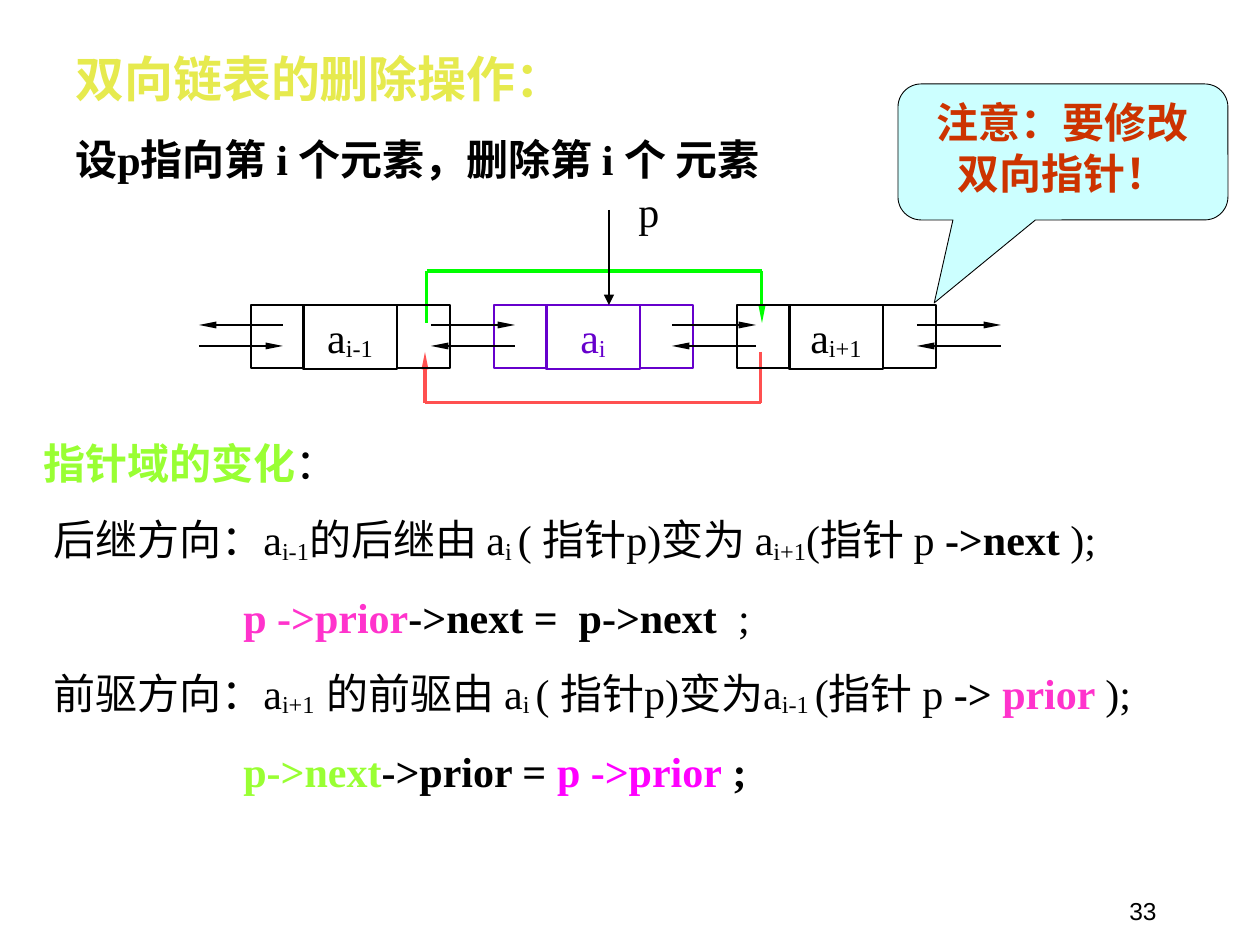
from dataclasses import dataclass
from typing import NamedTuple, Optional

from lxml import etree
from pptx import Presentation
from pptx import util as u
from pptx.dml.color import RGBColor
from pptx.enum import shapes, text
from pptx.oxml.ns import qn

PX = 914400 / 126


@dataclass(frozen=True)
class Theme:
    ink: str = "000000"
    violet: str = "6600CC"
    red: str = "FF5050"
    green: str = "00FF00"
    lime: str = "99FF33"
    pink: str = "FF33CC"
    magenta: str = "FF00FF"
    title: str = "E6EA4E"
    warning: str = "CC3300"
    bubble: str = "CCFFFF"
    serif: str = "Times New Roman"
    sans: str = "Arial"
    title_size: int = 28
    body_size: int = 24
    number_size: int = 14
    thin: float = 0.75
    thick: float = 1.75
    gap: int = 15


THEME = Theme()


class Span(NamedTuple):
    words: str
    color: str = THEME.ink
    bold: bool = False
    sub: bool = False
    size: int = THEME.body_size
    font: str = THEME.serif


class Para(NamedTuple):
    spans: list[Span]
    indent: int = 0
    align: text.PP_ALIGN = text.PP_ALIGN.LEFT


class Point(NamedTuple):
    x: int
    y: int


class Area(NamedTuple):
    left: int
    top: int
    width: int
    height: int


class Node(NamedTuple):
    index: str
    left: int
    color: str


class Arrow(NamedTuple):
    width: str = "sm"
    length: str = "lg"


def emu(px: int) -> u.Emu:
    return u.Emu(round(px * PX))


def rgb(color: str) -> RGBColor:
    return RGBColor.from_string(color)


def write(box, paras: list[Para], anchor=text.MSO_ANCHOR.TOP) -> None:
    frame = box.text_frame
    frame.word_wrap = True
    frame.vertical_anchor = anchor
    for order, item in enumerate(paras):
        para = frame.add_paragraph() if order else frame.paragraphs[0]
        para.alignment = item.align
        para.space_before = u.Pt(THEME.gap if order else 0)
        if item.indent:
            para._p.get_or_add_pPr().set("indent", str(emu(item.indent)))
        for part in item.spans:
            span = para.add_run()
            span.text = part.words
            span.font.name = part.font
            span.font.size = u.Pt(part.size)
            span.font.bold = part.bold
            span.font.color.rgb = rgb(part.color)
            if part.sub:
                span._r.get_or_add_rPr().set("baseline", "-10000")


def add_text(page, area: Area, paras: list[Para], anchor=text.MSO_ANCHOR.TOP) -> None:
    write(page.shapes.add_textbox(*map(emu, area)), paras, anchor)


def add_box(page, kind, area: Area, line: str, width: float, fill: Optional[str] = None):
    box = page.shapes.add_shape(kind, *map(emu, area))
    box.shadow.inherit = False
    if fill:
        box.fill.solid()
        box.fill.fore_color.rgb = rgb(fill)
    else:
        box.fill.background()
    box.line.color.rgb = rgb(line)
    box.line.width = u.Pt(width)
    return box


def add_line(page, start: Point, end: Point, color: str = THEME.ink,
             width: float = THEME.thin, arrow: Optional[Arrow] = None) -> None:
    line = page.shapes.add_connector(shapes.MSO_CONNECTOR.STRAIGHT, *map(emu, start + end))
    line.line.color.rgb = rgb(color)
    line.line.width = u.Pt(width)
    if arrow:
        etree.SubElement(line.line._get_or_add_ln(), qn("a:tailEnd"),
                         type="triangle", w=arrow.width, len=arrow.length)
    etree.SubElement(line._element.spPr, qn("a:effectLst"))


def add_route(page, points: list[Point], color: str) -> None:
    last = len(points) - 2
    for order, (start, end) in enumerate(zip(points, points[1:])):
        add_line(page, start, end, color, THEME.thick, Arrow() if order == last else None)


def add_node(page, node: Node) -> None:
    top, side, middle = 305, 53, 94
    rect = shapes.MSO_SHAPE.RECTANGLE
    data = add_box(page, rect, Area(node.left + side - 1, top, middle, 64), node.color, THEME.thin)
    write(data, [Para([Span("a", node.color), Span(node.index, node.color, sub=True)],
                      align=text.PP_ALIGN.CENTER)])
    for left in (node.left, node.left + side + middle - 1):
        add_box(page, rect, Area(left, top, side, 63), node.color, THEME.thin)


def add_links(page, left: int, upper_forward: bool) -> None:
    right = left + 84
    for y, forward in ((325, upper_forward), (346, not upper_forward)):
        start, end = (left, right) if forward else (right, left)
        add_line(page, Point(start, y), Point(end, y), arrow=Arrow())


def sub(words: str) -> Span:
    return Span(words, sub=True)


def bold(words: str, color: str = THEME.ink) -> Span:
    return Span(words, color, True)


EXPLANATION = [
    Para([bold("指针域的变化", THEME.lime), Span("：")]),
    Para([Span("后继方向：a"), sub("i-1"), Span("的后继由 a"), sub("i "),
          Span("( 指针p)变为 a"), sub("i+1"), Span("(指针 p "), bold("->next "), Span(");")], 10),
    Para([bold("p ->prior", THEME.pink), bold("->next =  p->next"), Span("  ;")], 200),
    Para([Span("前驱方向：a"), sub("i+1  "), Span("的前驱由 a"), sub("i "),
          Span("( 指针p)变为a"), sub("i-1 "), Span("(指针 p "), bold("-> "),
          bold("prior ", THEME.pink), Span(");")], 10),
    Para([bold("p->next", THEME.lime), bold("->prior = "),
          bold("p ->prior", THEME.magenta), bold(" ;")], 200),
]
HEADING = [
    Para([Span("双向链表的删除操作：", THEME.title, True, size=THEME.title_size)]),
    Para([bold("设p指向第 i 个元素，删除第 i 个 元素")]),
]
NODES = [Node(index, 251 + 243 * order, color) for order, (index, color) in enumerate(
    [("i-1", THEME.ink), ("i", THEME.violet), ("i+1", THEME.ink)])]


def main() -> None:
    deck = Presentation()
    deck.slide_width, deck.slide_height = emu(1260), emu(945)
    page = deck.slides.add_slide(deck.slide_layouts[6])

    add_route(page, [Point(761, 352), Point(761, 403), Point(425, 403), Point(425, 352)], THEME.red)
    add_route(page, [Point(427, 323), Point(427, 271), Point(762, 271), Point(762, 323)], THEME.green)
    add_text(page, Area(31, 431, 1124, 473), EXPLANATION)

    for node in NODES:
        add_node(page, node)
    for x, y, color in ((450, 305, THEME.ink), (494, 305, THEME.violet),
                        (693, 325, THEME.violet), (737, 325, THEME.ink)):
        add_line(page, Point(x, y), Point(x, y + 32), color)
    for left in (199, 431, 672, 917):
        add_links(page, left, upper_forward=left != 199)
    add_line(page, Point(609, 210), Point(609, 305), arrow=Arrow("med", "med"))
    add_text(page, Area(626, 179, 63, 63), [Para([Span("p")])])

    add_text(page, Area(63, 42, 1018, 149), HEADING)
    callout = add_box(page, shapes.MSO_SHAPE.ROUNDED_RECTANGULAR_CALLOUT,
                      Area(898, 84, 330, 136), THEME.ink, 0.5, THEME.bubble)
    for order, value in enumerate((-0.39, 1.11, 0.17)):
        callout.adjustments[order] = value
    write(callout, [Para([bold("注意：要修改双向指针！", THEME.warning)], align=text.PP_ALIGN.CENTER)])
    add_text(page, Area(907, 869, 262, 63),
             [Para([Span("33", size=THEME.number_size, font=THEME.sans)],
                   align=text.PP_ALIGN.RIGHT)], text.MSO_ANCHOR.BOTTOM)
    deck.save("out.pptx")


if __name__ == "__main__":
    main()
